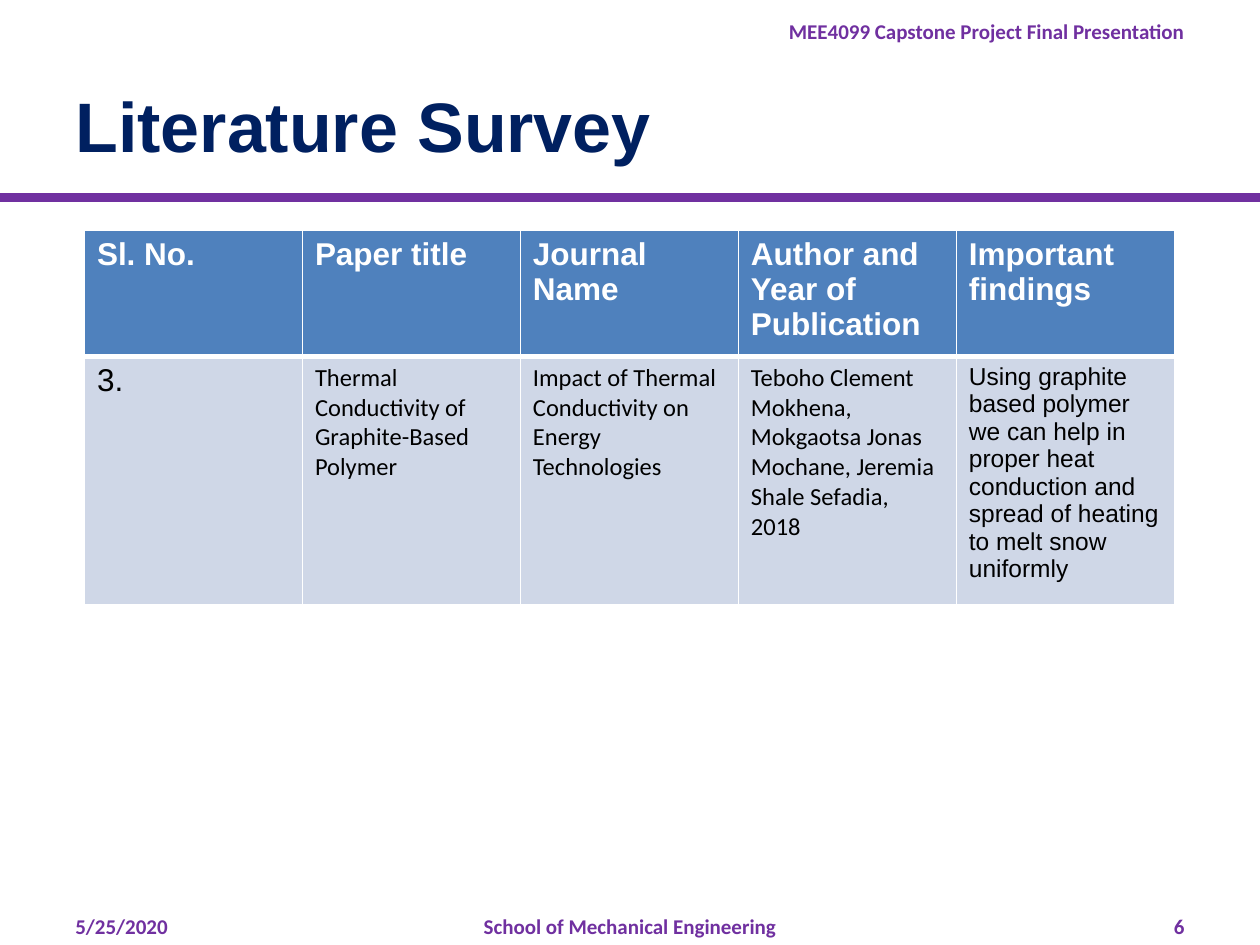
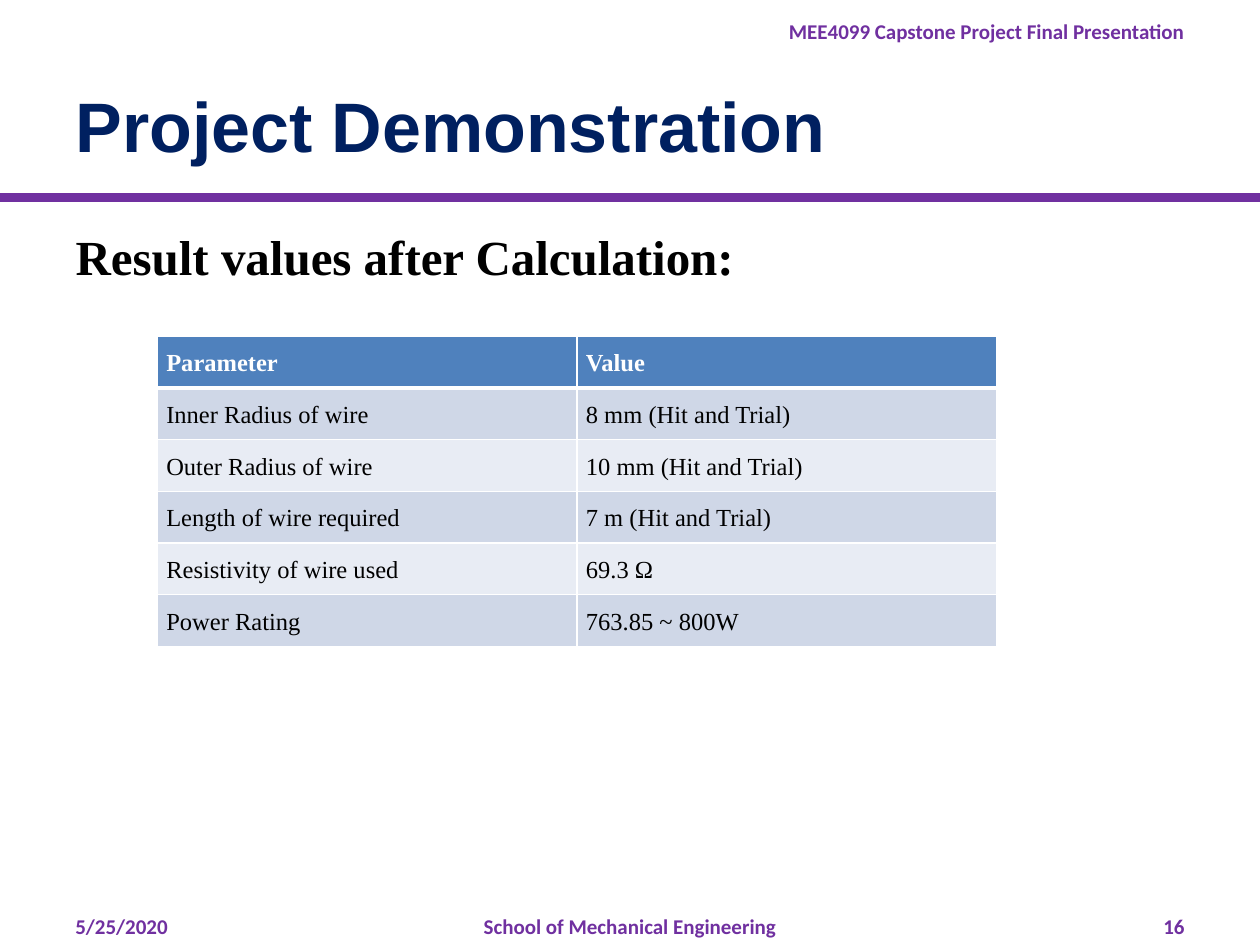
from dataclasses import dataclass

from lxml import etree
from pptx import Presentation
from pptx import util as u
from pptx.dml.color import RGBColor
from pptx.enum import shapes, text
from pptx.oxml import ns

ALIGN = text.PP_ALIGN
ANCHOR = text.MSO_ANCHOR


@dataclass(frozen=True)
class Theme:
    purple: str = "7030A0"
    navy: str = "002060"
    black: str = "000000"
    white: str = "FFFFFF"
    head_fill: str = "4F81BD"
    band_fills: tuple = ("CFD7E7", "E8ECF4")
    sans: str = "Arial"
    label: str = "Calibri"
    serif: str = "Times New Roman"
    title_size: int = 40
    body_size: int = 28
    head_size: int = 18
    cell_size: int = 14
    label_size: int = 12
    rule_width: int = 5


class Deck:
    def __init__(self, prs, theme):
        self.prs = prs
        self.theme = theme
        self.s = None

    def font(self, name, size, color, bold=False):
        return {"name": name, "size": u.Pt(size), "bold": bold, "color": color}

    def put_text(self, tf, words, fmt, para=None):
        tf.word_wrap = True
        p = tf.paragraphs[0]
        for key, value in (para or {}).items():
            setattr(p, key, value)
        r = p.add_run()
        r.text = words
        for key, value in fmt.items():
            if key == "color":
                r.font.color.rgb = RGBColor.from_string(value)
            else:
                setattr(r.font, key, value)
        return p

    def place(self, sp, left, top, width, height):
        box = {"left": left, "top": top, "width": width, "height": height}
        for key, value in box.items():
            setattr(sp, key, u.Inches(value))

    def slide(self, layout, title, number):
        self.s = self.prs.slides.add_slide(self.prs.slide_layouts.get_by_name(layout))
        self.label("MEE4099 Capstone Project Final Presentation", 0.5, 0, 9, ALIGN.RIGHT)
        self.rule(1.57)
        self.title(title)
        self.label("5/25/2020", 0.5, 7.1, 2.33, ALIGN.LEFT)
        self.label("School of Mechanical Engineering", 3, 7.1, 4, ALIGN.CENTER)
        self.label(str(number), 7.17, 7.1, 2.33, ALIGN.RIGHT)

    def label(self, words, left, top, width, align):
        t = self.theme
        sp = self.s.shapes.add_textbox(*map(u.Inches, (left, top, width, 0.4)))
        sp.text_frame.vertical_anchor = ANCHOR.BOTTOM
        fmt = self.font(t.label, t.label_size, t.purple, True)
        self.put_text(sp.text_frame, words, fmt, {"alignment": align})

    def rule(self, y):
        ends = map(u.Inches, (-0.03, y, 10.07, y))
        line = self.s.shapes.add_connector(shapes.MSO_CONNECTOR.STRAIGHT, *ends)
        line.line.color.rgb = RGBColor.from_string(self.theme.purple)
        line.line.width = u.Pt(self.theme.rule_width)
        etree.SubElement(line._element.spPr, ns.qn("a:effectLst"))

    def title(self, words):
        t = self.theme
        sp = self.s.shapes.title
        self.place(sp, 0.5, 0.47, 9, 1.03)
        tf = sp.text_frame
        tf.auto_size = text.MSO_AUTO_SIZE.NONE
        tf.vertical_anchor = ANCHOR.MIDDLE
        fmt = self.font(t.sans, t.title_size, t.navy, True)
        self.put_text(tf, words, fmt, {"alignment": ALIGN.LEFT})

    def body(self, words):
        t = self.theme
        sp = self.s.placeholders[1]
        self.place(sp, 0.5, 1.75, 9, 5.25)
        sp.text_frame.auto_size = text.MSO_AUTO_SIZE.NONE
        fmt = self.font(t.serif, t.body_size, t.black, True)
        p = self.put_text(sp.text_frame, words, fmt)
        pPr = p._p.get_or_add_pPr()
        pPr.set("marL", "0")
        pPr.set("indent", "0")
        etree.SubElement(pPr, ns.qn("a:buNone"))

    def borders(self, cell, bottom):
        tcPr = cell._tc.get_or_add_tcPr()
        for side, width in {"L": 1, "R": 1, "T": 1, "B": bottom}.items():
            ln = etree.SubElement(tcPr, ns.qn(f"a:ln{side}"), w=str(u.Pt(width)))
            fill = etree.SubElement(ln, ns.qn("a:solidFill"))
            etree.SubElement(fill, ns.qn("a:srgbClr"), val=self.theme.white)

    def table(self, left, top, col_width, heights, rows, head, columns, margins, spacing=None):
        t = self.theme
        n_rows, n_cols = len(rows), len(rows[0])
        frame = self.s.shapes.add_table(
            n_rows, n_cols, u.Inches(left), u.Inches(top),
            u.Inches(col_width * n_cols), u.Inches(sum(heights)))
        table = frame.table
        for col in table.columns:
            col.width = u.Inches(col_width)
        for i, (row, height) in enumerate(zip(rows, heights)):
            table.rows[i].height = u.Inches(height)
            for j, words in enumerate(row):
                cell = table.cell(i, j)
                self.borders(cell, 1 if i else 3)
                cell.fill.solid()
                color = t.band_fills[(i - 1) % 2] if i else t.head_fill
                cell.fill.fore_color.rgb = RGBColor.from_string(color)
                for key, value in margins.items():
                    setattr(cell, key, u.Inches(value))
                fmt = columns[j] if i else head
                self.put_text(cell.text_frame, words, fmt, {"line_spacing": spacing})


def margins(side, end):
    return {"margin_left": side, "margin_right": side, "margin_top": end, "margin_bottom": end}


def literature_survey(deck):
    t = deck.theme
    deck.slide("Title Only", "Literature Survey", 6)
    rows = [
        ("Sl. No.", "Paper title", "Journal Name", "Author and Year of Publication",
         "Important findings"),
        ("3.",
         "Thermal Conductivity of Graphite-Based Polymer",
         "Impact of Thermal Conductivity on Energy Technologies",
         "Teboho Clement Mokhena, Mokgaotsa Jonas Mochane, Jeremia Shale Sefadia, 2018",
         "Using graphite based polymer we can help in proper heat conduction "
         "and spread of heating to melt snow uniformly"),
    ]
    number = deck.font(t.sans, t.head_size, t.black)
    source = deck.font(t.label, t.cell_size, t.black)
    finding = deck.font(t.sans, t.cell_size, t.black)
    deck.table(0.67, 1.83, 1.73, (0.47, 1.7), rows,
               deck.font(t.sans, t.head_size, t.white, True),
               [number, source, source, source, finding], margins(0.1, 0.05))


def project_demonstration(deck):
    t = deck.theme
    deck.slide("Title and Content", "Project Demonstration", 16)
    deck.body("Result values after Calculation:")
    rows = [
        ("Parameter", "Value"),
        ("Inner Radius of wire", "8 mm (Hit and Trial)"),
        ("Outer Radius of wire", "10 mm (Hit and Trial)"),
        ("Length of wire required", "7 m (Hit and Trial)"),
        ("Resistivity of wire used", "69.3 Ω"),
        ("Power Rating", "763.85 ~ 800W"),
    ]
    deck.table(1.25, 2.67, 3.33, [0.41] * len(rows), rows,
               deck.font(t.serif, t.cell_size, t.white, True),
               [deck.font(t.serif, t.cell_size, t.black)] * 2, margins(0.07, 0), 1.5)


def main():
    prs = Presentation()
    prs.slide_width, prs.slide_height = u.Inches(10), u.Inches(7.5)
    deck = Deck(prs, Theme())
    literature_survey(deck)
    project_demonstration(deck)
    prs.save("out.pptx")


if __name__ == "__main__":
    main()
